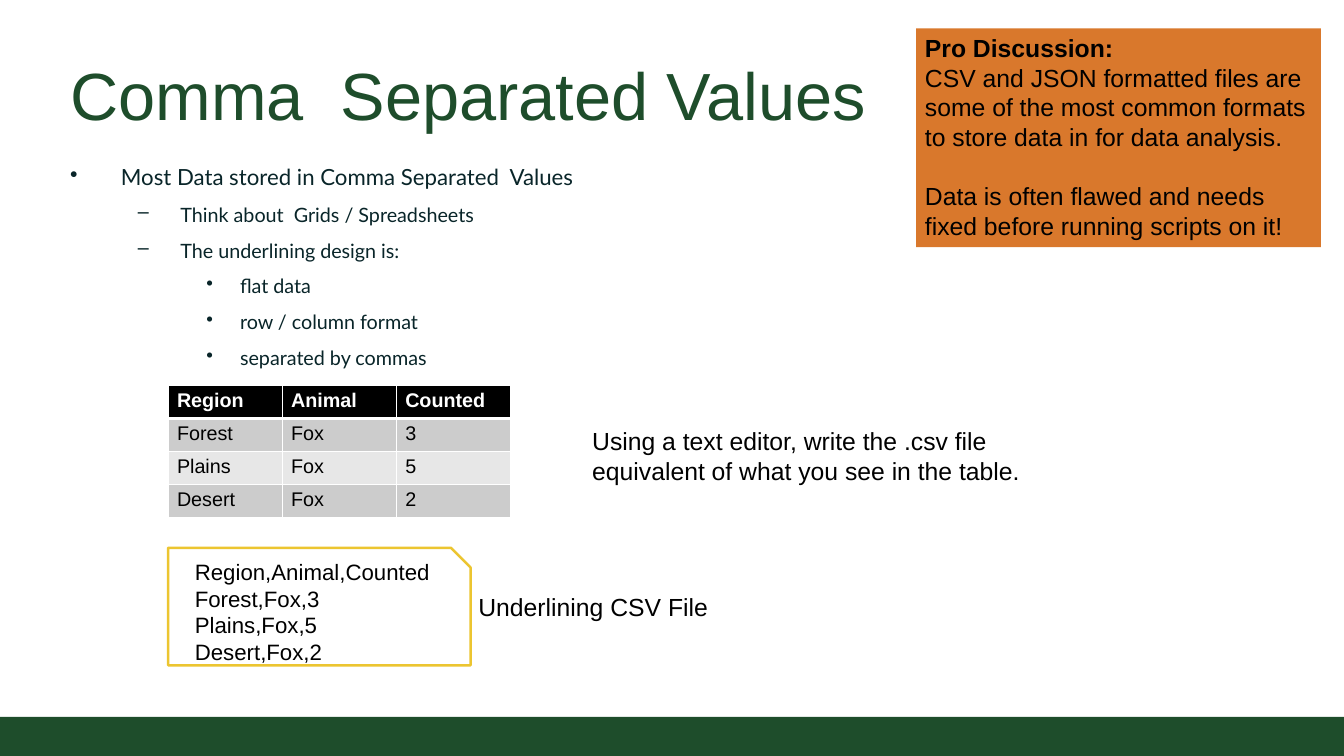
import pptx
import pptx.util
import pptx.dml.color
import pptx.enum.shapes
import pptx.enum.text
import pptx.oxml
import pptx.oxml.ns
from dataclasses import dataclass


@dataclass(frozen=True)
class Theme:
    green: str = "1E4D2B"
    ink: str = "092529"
    black: str = "000000"
    white: str = "FFFFFF"
    orange: str = "D9782C"
    gold: str = "ECC530"
    dark_band: str = "CCCCCC"
    light_band: str = "E7E7E7"
    sans: str = "Arial"
    body: str = "Lato"
    title_size: int = 54
    note_size: int = 20
    lead_size: int = 18
    small_size: int = 16


theme = Theme()
rgb = pptx.dml.color.RGBColor.from_string
points = pptx.util.Pt
inches = pptx.util.Inches
anchors = pptx.enum.text.MSO_ANCHOR
shape_types = pptx.enum.shapes.MSO_SHAPE

presentation = pptx.Presentation()
presentation.slide_width = inches(15.11)
presentation.slide_height = inches(8.5)
slide = presentation.slides.add_slide(presentation.slide_layouts[5])


def place(left, top, width, height):
    across = presentation.slide_width / 100
    down = presentation.slide_height / 100
    return [round(length) for length in (left * across, top * down, width * across, height * down)]


def write(frame, text, size=theme.note_size, font=theme.sans, color=theme.black, bold=False,
          spacing=1, before=0, after=0, bullet=None, margin=0, indent=0):
    frame.word_wrap = True
    frame.auto_size = pptx.enum.text.MSO_AUTO_SIZE.NONE
    for line in text.split("\n"):
        paragraph = frame.add_paragraph() if frame.text else frame.paragraphs[0]
        paragraph.text = line
        if bullet:
            properties = paragraph._p.get_or_add_pPr()
            properties.set("marL", str(inches(margin)))
            properties.set("indent", str(inches(indent)))
            mark = pptx.oxml.parse_xml(f'<a:buChar {pptx.oxml.ns.nsdecls("a")} char="{bullet}"/>')
            properties.append(mark)
        paragraph.alignment = pptx.enum.text.PP_ALIGN.LEFT
        paragraph.line_spacing = spacing
        paragraph.space_before = points(before)
        paragraph.space_after = points(after)
        run_font = paragraph.runs[0].font
        run_font.size = points(size)
        run_font.name = font
        run_font.bold = bold
        run_font.color.rgb = rgb(color)


panels = {}
for name, shape_type, box, fill, outline in [
    ("footer", shape_types.RECTANGLE, (0, 94.82, 100, 5.18), theme.green, None),
    ("csv file", shape_types.SNIP_1_RECTANGLE, (12.51, 72.47, 22.5, 15.53), theme.white, theme.gold),
    ("discussion", shape_types.RECTANGLE, (68.17, 3.76, 30.11, 28.94), theme.orange, None),
]:
    shape = slide.shapes.add_shape(shape_type, *place(*box))
    shape.shadow.inherit = False
    shape.fill.solid()
    shape.fill.fore_color.rgb = rgb(fill)
    if outline:
        shape.line.color.rgb = rgb(outline)
        shape.line.width = points(2)
    else:
        shape.line.fill.background()
    panels[name] = shape.text_frame

title = slide.shapes.title
title.left, title.top, title.width, title.height = place(4.57, 5.76, 90.93, 13.06)
write(title.text_frame, "Comma  Separated Values", size=theme.title_size, color=theme.green)
title.text_frame.vertical_anchor = anchors.BOTTOM

outline_frame = slide.shapes.add_textbox(*place(4.57, 19.76, 42.29, 30.24)).text_frame
for frame in (title.text_frame, outline_frame):
    frame.margin_left = frame.margin_top = frame.margin_right = frame.margin_bottom = inches(0.1)

levels = [("•", 0.57, -0.57, theme.lead_size),
          ("–", 1.24, -0.48, theme.small_size),
          ("•", 1.91, -0.38, theme.small_size)]
for level, text in [
    (0, "Most Data stored in Comma Separated  Values"),
    (1, "Think about  Grids / Spreadsheets\nThe underlining design is:"),
    (2, "flat data\nrow / column format\nseparated by commas"),
]:
    bullet, margin, indent, size = levels[level]
    write(outline_frame, text, size=size, font=theme.body, color=theme.ink, spacing=1.2, after=6,
          bullet=bullet, margin=margin, indent=indent)

records = [("Region", "Animal", "Counted"),
           ("Forest", "Fox", "3"),
           ("Plains", "Fox", "5"),
           ("Desert", "Fox", "2")]
table = slide.shapes.add_table(len(records), len(records[0]), *place(12.51, 50.94, 25.48, 17.53)).table
for row, record in enumerate(records):
    header = row == 0
    band = theme.black if header else theme.dark_band if row % 2 else theme.light_band
    for column, value in enumerate(record):
        cell = table.cell(row, column)
        for side in ("lnL", "lnR", "lnT", "lnB"):
            width = points(3 if header and side == "lnB" else 1)
            cell._tc.get_or_add_tcPr().append(pptx.oxml.parse_xml(
                f'<a:{side} {pptx.oxml.ns.nsdecls("a")} w="{width}"><a:solidFill>'
                f'<a:srgbClr val="{theme.white}"/></a:solidFill></a:{side}>'))
        cell.fill.solid()
        cell.fill.fore_color.rgb = rgb(band)
        write(cell.text_frame, value, size=theme.small_size, bold=header,
              color=theme.white if header else theme.black)

csv_frame = panels["csv file"]
csv_frame.margin_left = csv_frame.margin_right = inches(0.3)
csv_frame.margin_top = csv_frame.margin_bottom = inches(0.2)
csv_frame.vertical_anchor = anchors.MIDDLE
write(csv_frame, "\n".join(",".join(record) for record in records), size=theme.lead_size)

discussion = panels["discussion"]
discussion.vertical_anchor = anchors.TOP
write(discussion, "Pro Discussion:", bold=True)
write(discussion, "CSV and JSON formatted files are\nsome of the most common formats\n"
                  "to store data in for data analysis.")
write(discussion, "Data is often flawed and needs", before=24)
write(discussion, "fixed before running scripts on it!")

for box, text in [
    ((34.94, 77.65, 18.6, 5.18), "Underlining CSV File"),
    ((43.41, 55.76, 34.02, 9.06),
     "Using a text editor, write the .csv file equivalent of what you see in the table."),
]:
    write(slide.shapes.add_textbox(*place(*box)).text_frame, text)

presentation.save("out.pptx")
